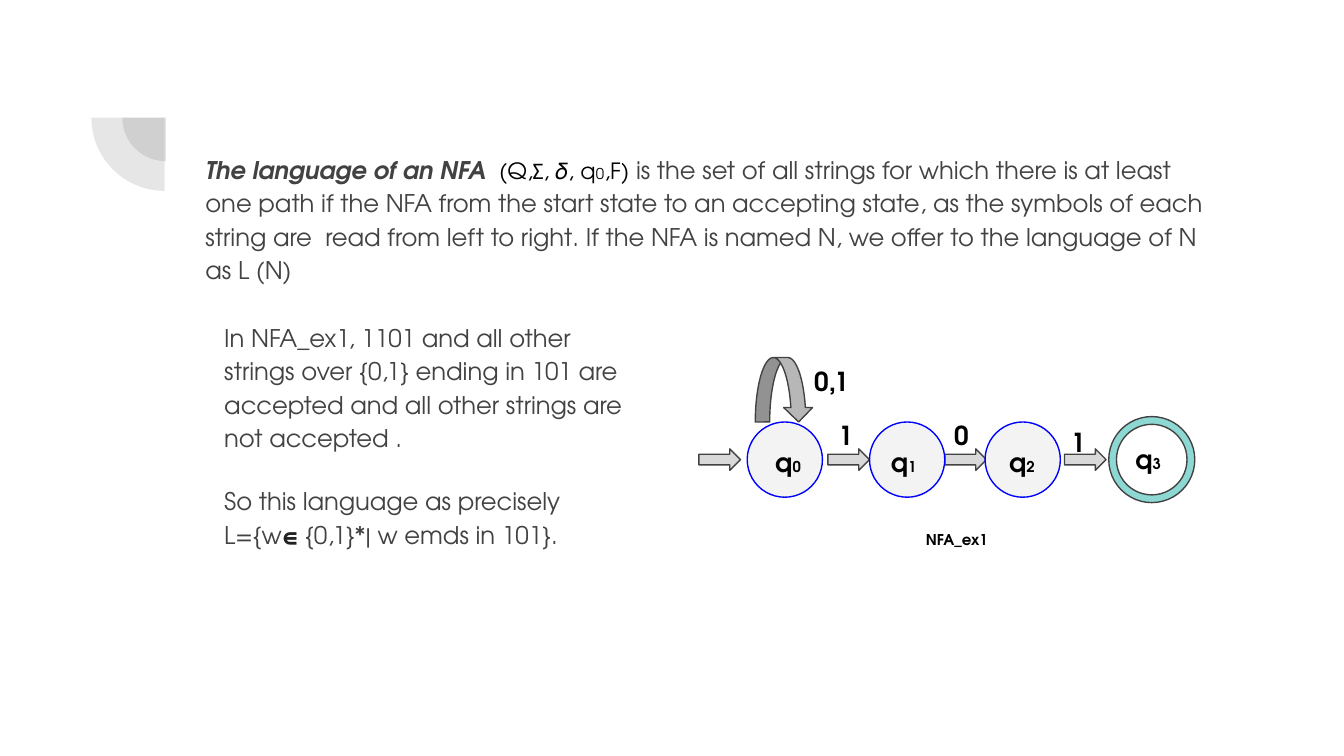
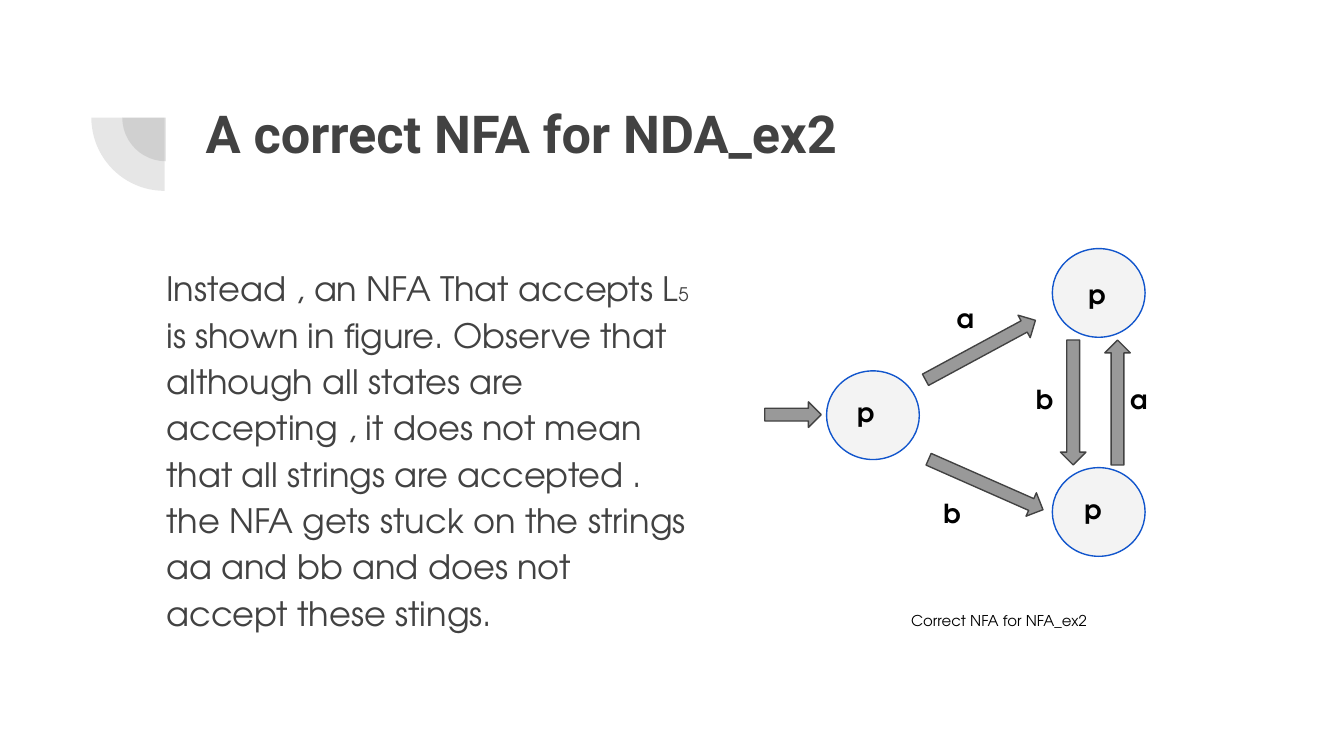
from lxml import etree
from pptx import Presentation
from pptx.dml.color import RGBColor
from pptx.enum import shapes, text
from pptx.oxml.ns import qn
from pptx.util import Inches, Pt

COLORS = {
    "ink": "424242", "black": "000000", "symbol": "222222", "white": "FFFFFF",
    "state": "F3F3F3", "blue": "0000FF", "deep_blue": "1155CC",
    "accepting": "8DD8D3", "loop": "B7B7B7", "light_arrow": "D9D9D9",
    "dark_arrow": "999999",
}
FONT, TITLE_FONT = "TeX Gyre Adventor", "Roboto"
TITLE = "A correct NFA for NDA_ex2"

# Paragraphs are lists of runs: (text, size, colour, style), style using "b" and "i"
DEFINITION = [[
    ("The language of an NFA  ", 13, "ink", "bi"),
    ("(Q,Σ, 𝛿, q", 12, "black", ""),
    ("0", 8, "black", ""),
    (",F)", 12, "black", ""),
    (" is the set of all strings for which there is at least one path if the NFA "
     "from the start state to an accepting state, as the symbols of each string are  "
     "read from left to right. If the NFA is named N, we offer to the language of N "
     "as L (N)", 13, "ink", ""),
]]
EXAMPLE = [
    [("In NFA_ex1, 1101 and all other strings over {0,1} ending in 101 are accepted "
      "and all other strings are not accepted .", 13, "ink", "")],
    [("So this language as precisely L={w", 13, "ink", ""),
     ("∈", 12, "symbol", "b"),
     (" {0,1}*| w emds in 101}.", 13, "ink", "")],
]
EXPLANATION = [[
    ("Instead , an NFA That accepts L", 18, "ink", ""),
    ("5", 10, "ink", ""),
    (" is shown in figure. Observe that although all states are accepting , it does "
     "not mean that all strings are accepted . the NFA gets stuck on the strings aa "
     "and bb and does not accept these stings.", 18, "ink", ""),
]]

# First automaton: left edges along one row
ROW_MIDDLE = 3.42
STATES_1 = [5.56, 6.47, 7.33]
ARROWS_1 = [5.2, 6.16, 7.03, 7.92]
STATE_NAMES_1 = [("0", 5.67, 3.22), ("1", 6.53, 3.22), ("2", 7.41, 3.22), ("3", 8.35, 3.2)]
SYMBOLS_1 = [("0,1", 5.96, 2.62, 0.64), ("1", 6.14, 3.02, 0.38),
             ("0", 7, 3.02, 0.38), ("1", 7.87, 3.07, 0.38)]

# Second automaton: state corner and the corner of its name
STATES_2 = [((6.15, 2.76), (6.28, 2.85)),
            ((7.83, 1.85), (8, 1.97)),
            ((7.83, 3.48), (7.97, 3.57))]
# left, top, width, rotation
ARROWS_2 = [(5.69, 2.99, 0.42, 0), (6.83, 2.51, 0.93, 331.6), (6.87, 3.51, 0.93, 23.8),
            (7.85, 2.9, 0.93, 270), (7.52, 2.9, 0.93, 90)]
SYMBOLS_2 = [("a", 7.02, 2.15), ("b", 6.92, 3.6), ("a", 8.31, 2.75), ("b", 7.61, 2.75)]

SHAPE = shapes.MSO_SHAPE


def color(name):
    return RGBColor.from_string(COLORS[name])


def add_figure(slide, kind, box, fill, line="ink", rotation=0, adjustments=()):
    shape = slide.shapes.add_shape(kind, *map(Inches, box))
    shape.shadow.inherit = False
    shape.rotation = rotation
    for index, value in enumerate(adjustments):
        shape.adjustments[index] = value
    shape.fill.solid()
    shape.fill.fore_color.rgb = color(fill)
    if line:
        shape.line.color.rgb = color(line)
        shape.line.width = Pt(0.75)
    else:
        shape.line.fill.background()
    return shape


def set_frame(frame):
    frame.word_wrap = True
    frame.auto_size = text.MSO_AUTO_SIZE.NONE
    frame.vertical_anchor = text.MSO_ANCHOR.TOP
    frame.margin_left = frame.margin_right = Inches(0.1)
    frame.margin_top = frame.margin_bottom = Inches(0.1)


def format_run(run, size, color_name, style, font=FONT):
    run.font.name = font
    run.font.size = Pt(size)
    run.font.color.rgb = color(color_name)
    run.font.bold = "b" in style
    run.font.italic = "i" in style


def add_text(slide, box, paragraphs):
    frame = slide.shapes.add_textbox(*map(Inches, box)).text_frame
    set_frame(frame)
    for index, runs in enumerate(paragraphs):
        paragraph = frame.paragraphs[0] if index == 0 else frame.add_paragraph()
        for words, size, color_name, style in runs:
            run = paragraph.add_run()
            run.text = words
            format_run(run, size, color_name, style)
    return frame


def add_body(slide, box, paragraphs):
    """Add reading text with open lines and a gap between paragraphs."""
    frame = add_text(slide, box, paragraphs)
    for index, paragraph in enumerate(frame.paragraphs):
        paragraph.line_spacing = 1.15
        if index:
            paragraph.space_before = Pt(16)
    frame.paragraphs[-1].space_after = Pt(16)


def add_label(slide, box, label, subscript="", size=14, style="b"):
    runs = [(label, size, "black", style)]
    if subscript:
        runs.append((subscript, 8, "black", style))
    add_text(slide, box, [runs])


def add_slide(presentation, layout_index):
    """Add a white slide with the two translucent quarter circles."""
    slide = presentation.slides.add_slide(presentation.slide_layouts[layout_index])
    slide.background.fill.solid()
    slide.background.fill.fore_color.rgb = color("white")
    for left, top, size in [(0.91, 0.55, 0.65), (0.68, 0.33, 1.09)]:
        quarter = add_figure(slide, SHAPE.PIE, (left, top, size, size), "ink", None,
                             270, (108, 162))
        rgb = quarter.element.spPr.find(qn("a:solidFill"))[0]
        etree.SubElement(rgb, qn("a:alpha")).set("val", "13000")
    return slide


def build_language_slide(presentation):
    slide = add_slide(presentation, 6)
    add_body(slide, (1.57, 2.27, 3.18, 2.84), EXAMPLE)
    add_body(slide, (1.43, 1.02, 7.69, 1.08), DEFINITION)
    for left in ARROWS_1:
        add_figure(slide, SHAPE.RIGHT_ARROW, (left, ROW_MIDDLE - 0.08, 0.31, 0.16),
                   "light_arrow")
    for left in STATES_1:
        add_figure(slide, SHAPE.OVAL, (left, ROW_MIDDLE - 0.28, 0.56, 0.56),
                   "state", "blue")
    add_figure(slide, SHAPE.DONUT, (8.25, ROW_MIDDLE - 0.32, 0.64, 0.64),
               "accepting", adjustments=(0.09,))
    add_figure(slide, SHAPE.CURVED_DOWN_ARROW, (5.62, 2.66, 0.43, 0.48), "loop",
               adjustments=(0.25, 0.5, 0.25))
    for number, left, top in STATE_NAMES_1:
        add_label(slide, (left, top, 0.43, 0.56), "q", number)
    for symbol, left, top, width in SYMBOLS_1:
        add_label(slide, (left, top, width, 0.28), symbol)
    add_label(slide, (6.79, 3.85, 1.02, 0.28), "NFA_ex1", size=8)


def build_correction_slide(presentation):
    slide = add_slide(presentation, 5)
    title = slide.shapes.title
    title.left, title.top, title.width, title.height = map(Inches, (1.43, 0.65, 7.69, 1.09))
    title.text_frame.text = TITLE
    set_frame(title.text_frame)
    paragraph = title.text_frame.paragraphs[0]
    paragraph.alignment = text.PP_ALIGN.LEFT
    format_run(paragraph.runs[0], 28, "ink", "b", TITLE_FONT)

    add_body(slide, (1.14, 1.85, 4.17, 3.32), EXPLANATION)
    for corner, name_corner in STATES_2:
        add_figure(slide, SHAPE.OVAL, (*corner, 0.69, 0.66), "state", "deep_blue")
        add_label(slide, (*name_corner, 0.47, 0.4), "p")
    for left, top, width, rotation in ARROWS_2:
        add_figure(slide, SHAPE.RIGHT_ARROW, (left, top, width, 0.19), "dark_arrow",
                   rotation=rotation)
    for symbol, left, top in SYMBOLS_2:
        add_label(slide, (left, top, 0.48, 0.34), symbol)
    add_label(slide, (6.68, 4.45, 1.55, 0.34), "Correct NFA for NFA_ex2", size=8, style="")


def main():
    presentation = Presentation()
    presentation.slide_width = Inches(10)
    presentation.slide_height = presentation.slide_width * 9 // 16
    build_language_slide(presentation)
    build_correction_slide(presentation)
    presentation.save("out.pptx")


if __name__ == "__main__":
    main()
